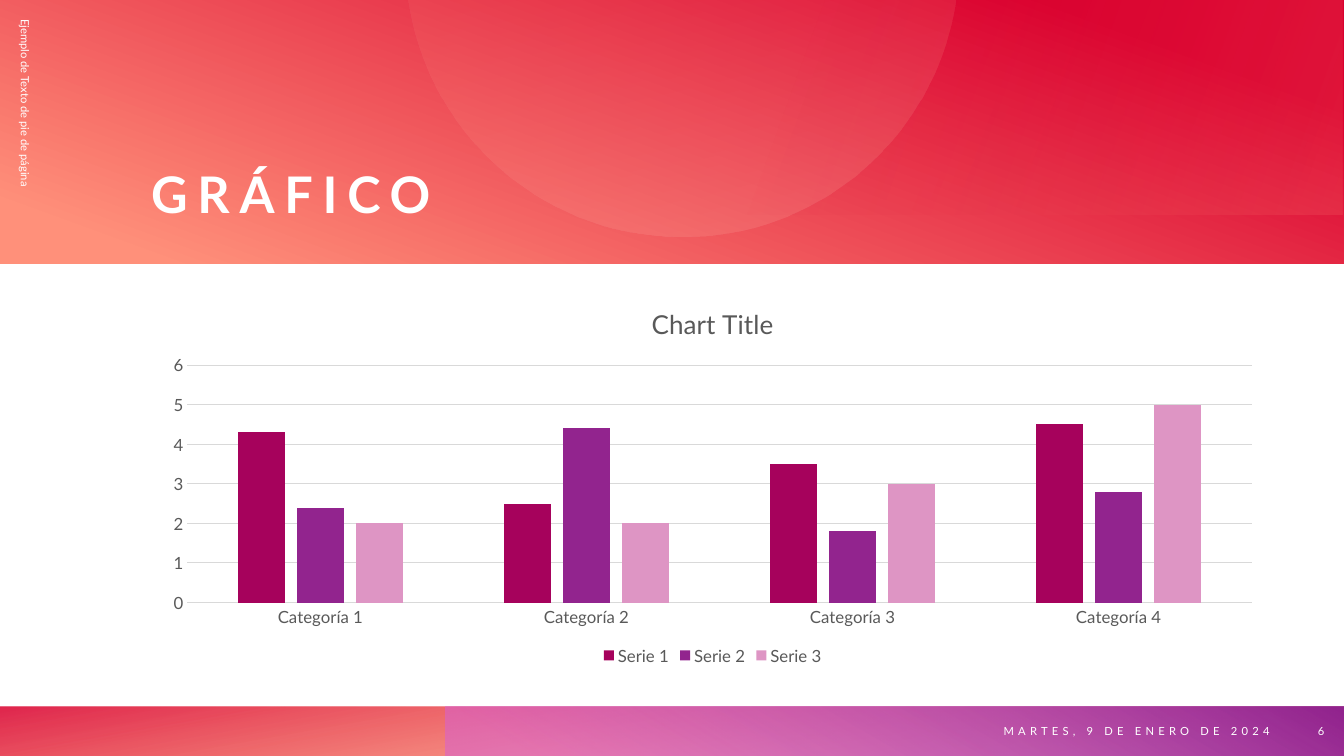
from dataclasses import dataclass
from math import acos, cos, pi, sin

from lxml.etree import SubElement
from pptx import Presentation
from pptx.chart.data import CategoryChartData
from pptx.dml.color import RGBColor
from pptx.enum.chart import XL_CHART_TYPE, XL_LEGEND_POSITION, XL_TICK_MARK
from pptx.enum.text import MSO_ANCHOR, MSO_AUTO_SIZE, PP_ALIGN
from pptx.oxml.ns import qn
from pptx.enum.shapes import MSO_SHAPE
from pptx.util import Cm, Pt

FONT = "Lato"
WHITE, GRAY, GRID = "FFFFFF", "595959", "D9D9D9"


@dataclass
class Stop:
    position: float
    color: str
    opacity: int = 100


@dataclass
class Band:
    left: float
    top: float
    width: float
    height: float
    stops: tuple[Stop, Stop]
    angle: float
    rotation: float = 0


@dataclass
class Label:
    text: str
    left: float
    top: float
    width: float
    height: float
    align: PP_ALIGN = PP_ALIGN.RIGHT
    spacing: int = 0
    rotation: float = 0


BANDS = [
    Band(0, 17.8, 33.87, 1.27, (Stop(0.14, "FE4A00", 28), Stop(1, "DA002F", 85)), 100, 180),
    Band(11.23, 17.8, 22.64, 1.27, (Stop(0.09, "D861D4", 55), Stop(0.99, "92248E")), 240),
    Band(0, 0, 33.87, 6.65, (Stop(0.08, "FF907A"), Stop(0.86, "DA002F")), 70, 180),
]
HEADER_GLOW = Band(11.28, 0, 22.56, 5.41, (Stop(0, "FF907A", 16), Stop(0.62, "DA002F", 0)), 340)

LABELS = [
    Label("Ejemplo de Texto de pie de página", -5.08, 5.31, 11.43, 1.27, PP_ALIGN.LEFT, rotation=90),
    Label("MARTES, 9 DE ENERO DE 2024", 21.97, 17.8, 10.29, 1.24, spacing=3),
    Label("6", 32.41, 17.8, 1.22, 1.24),
]

CATEGORIES = [f"Categoría {number}" for number in range(1, 5)]
SERIES = [
    ("Serie 1", (4.3, 2.5, 3.5, 4.5), "A6025C"),
    ("Serie 2", (2.4, 4.4, 1.8, 2.8), "92248E"),
    ("Serie 3", (2, 2, 3, 5), "DE95C4"),
]


def rgb(color: str) -> RGBColor:
    return RGBColor.from_string(color)


def style_font(font, size: float, color: str, bold: bool = False) -> None:
    font.name, font.size, font.bold = FONT, Pt(size), bold
    font.color.rgb = rgb(color)


def fill_gradient(shape, stops: tuple[Stop, Stop], angle: float) -> None:
    """Fill with two stops; the angle runs clockwise."""
    shape.shadow.inherit = False
    shape.line.fill.background()
    shape.fill.gradient()
    shape.fill.gradient_angle = 360 - angle
    for target, stop in zip(shape.fill.gradient_stops, stops):
        target.position = stop.position
        target.color.rgb = rgb(stop.color)
    for element, stop in zip(shape.element.spPr.iter(qn("a:srgbClr")), stops):
        SubElement(element, qn("a:alpha"), val=str(stop.opacity * 1000))


def add_band(page, band: Band) -> None:
    shape = page.shapes.add_shape(
        MSO_SHAPE.RECTANGLE, Cm(band.left), Cm(band.top), Cm(band.width), Cm(band.height))
    shape.rotation = band.rotation
    shape.element.spPr.find(qn("a:xfrm")).set("flipH", "1")
    fill_gradient(shape, band.stops, band.angle)


def add_cut_circle(page, center_x: float, center_y: float, radius: float) -> None:
    """Draw the part of a circle that lies below the top edge."""
    half = acos(-center_y / radius)
    steps = 90
    angles = [pi / 2 - half + 2 * half * step / steps for step in range(steps + 1)]
    points = [(Cm(center_x + radius * cos(a)), Cm(center_y + radius * sin(a))) for a in angles]
    builder = page.shapes.build_freeform(*points[0])
    builder.add_line_segments(points[1:], close=True)
    fill_gradient(builder.convert_to_shape(), (Stop(0, "FF907A", 12), Stop(1, "FFBCAF", 20)), 77)


def write_line(frame, text: str, size: float, align: PP_ALIGN, spacing: int, bold: bool = False) -> None:
    frame.word_wrap = True
    frame.auto_size = MSO_AUTO_SIZE.NONE
    para = frame.paragraphs[0]
    para.alignment = align
    span = para.add_run()
    span.text = text
    style_font(span.font, size, WHITE, bold)
    if spacing:
        span.font._element.set("spc", str(spacing * 100))


def add_label(page, label: Label) -> None:
    box = page.shapes.add_textbox(Cm(label.left), Cm(label.top), Cm(label.width), Cm(label.height))
    box.rotation = label.rotation
    box.text_frame.vertical_anchor = MSO_ANCHOR.MIDDLE
    write_line(box.text_frame, label.text, 8, label.align, label.spacing)


def place_title(page) -> None:
    title = page.shapes.title
    title.left, title.top, title.width, title.height = Cm(3.81), Cm(2.21), Cm(28.45), Cm(3.43)
    frame = title.text_frame
    frame.margin_left = frame.margin_right = frame.margin_top = frame.margin_bottom = 0
    frame.vertical_anchor = MSO_ANCHOR.BOTTOM
    write_line(frame, "GRÁFICO", 36, PP_ALIGN.LEFT, 7, bold=True)
    page.shapes.element.append(title.element)  # bring in front of the header


def add_column_chart(page) -> None:
    data = CategoryChartData()
    data.categories = CATEGORIES
    for name, values, _ in SERIES:
        data.add_series(name, values)
    chart = page.shapes.add_chart(
        XL_CHART_TYPE.COLUMN_CLUSTERED, Cm(3.81), Cm(7.24), Cm(28.3), Cm(9.63), data).chart
    style_font(chart.font, 12, GRAY)

    chart.has_title = True
    span = chart.chart_title.text_frame.paragraphs[0].add_run()
    span.text = "Chart Title"
    style_font(span.font, 18.6, GRAY)

    chart.has_legend = True
    chart.legend.position = XL_LEGEND_POSITION.BOTTOM
    chart.legend.include_in_layout = False
    style_font(chart.legend.font, 12, GRAY)

    plot = chart.plots[0]
    plot.gap_width, plot.overlap, plot.vary_by_categories = 219, -27, False
    for series, (_, _, color) in zip(plot.series, SERIES):
        series.format.fill.solid()
        series.format.fill.fore_color.rgb = rgb(color)

    values, categories = chart.value_axis, chart.category_axis
    for axis in (values, categories):
        axis.major_tick_mark = axis.minor_tick_mark = XL_TICK_MARK.NONE
        style_font(axis.tick_labels.font, 12, GRAY)
    values.minimum_scale, values.maximum_scale, values.major_unit = 0, 6, 1
    values.format.line.fill.background()
    for line in (values.major_gridlines.format.line, categories.format.line):
        line.width = Pt(0.75)
        line.color.rgb = rgb(GRID)


def main() -> None:
    deck = Presentation()
    deck.slide_width, deck.slide_height = Cm(33.87), Cm(19.05)
    page = deck.slides.add_slide(deck.slide_layouts.get_by_name("Title Only"))

    # Coloured bands and header decoration
    for band in BANDS:
        add_band(page, band)
    add_cut_circle(page, 17.18, -1, 6.96)
    add_band(page, HEADER_GLOW)

    # Title, chart and footer texts
    place_title(page)
    add_column_chart(page)
    for label in LABELS:
        add_label(page, label)

    deck.save("out.pptx")


if __name__ == "__main__":
    main()
